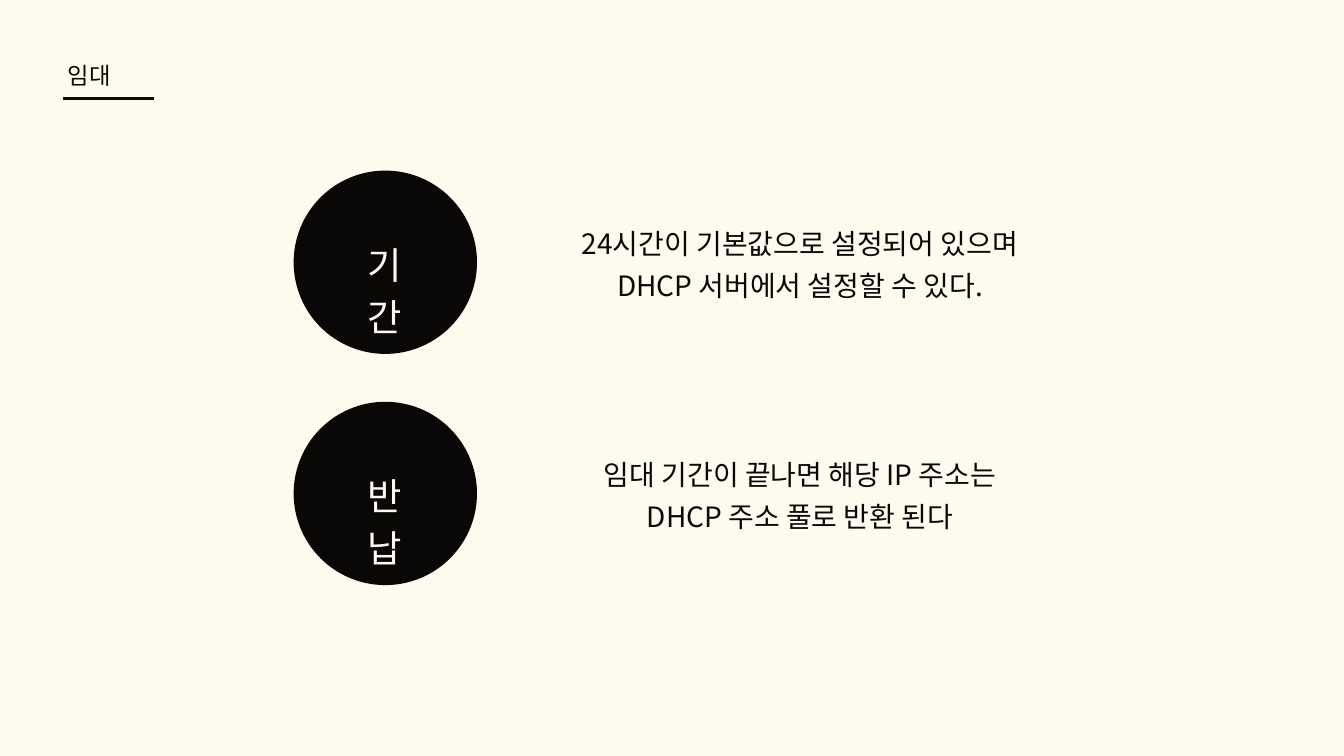
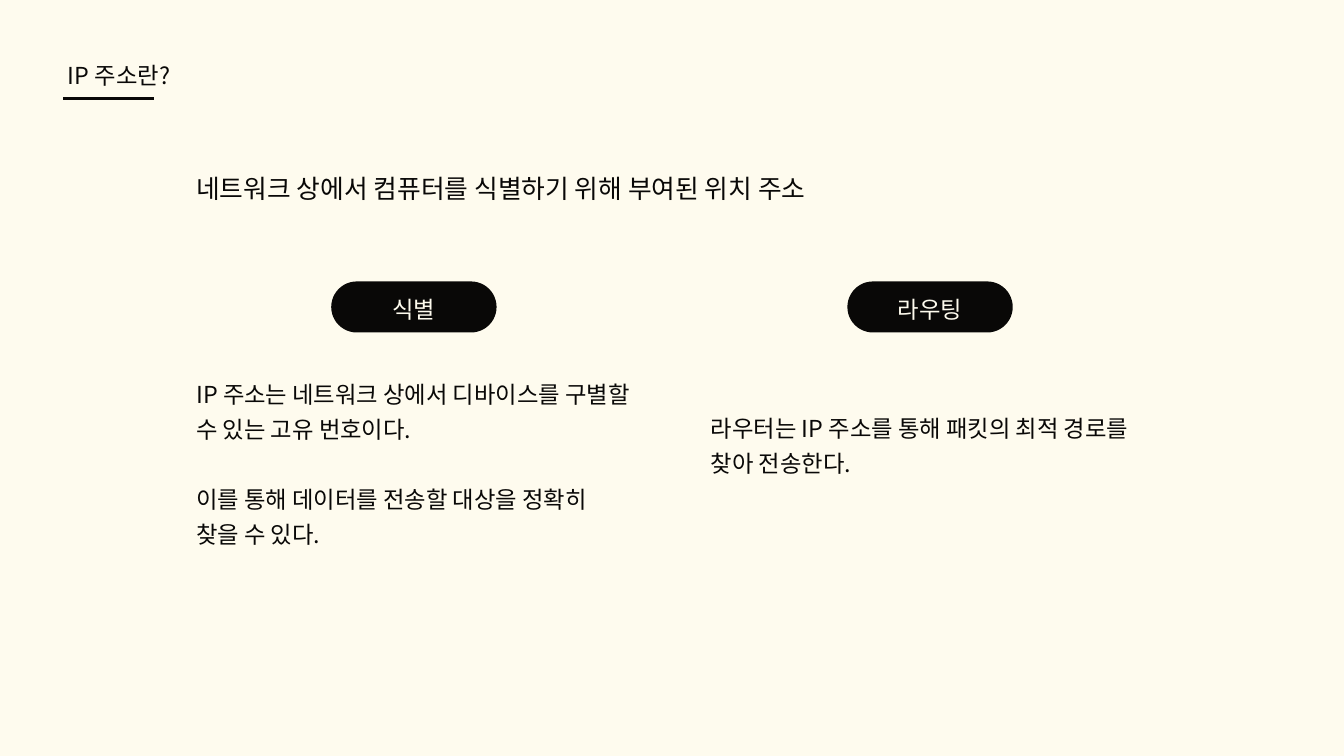
from dataclasses import dataclass

from lxml import etree
from pptx import Presentation
from pptx.dml.color import RGBColor
from pptx.enum.shapes import MSO_CONNECTOR, MSO_SHAPE
from pptx.enum.text import MSO_AUTO_SIZE, PP_ALIGN
from pptx.oxml.ns import qn
from pptx.presentation import Presentation as Deck
from pptx.slide import Slide
from pptx.util import Cm, Pt

INK = RGBColor(0x09, 0x08, 0x07)
CREAM = RGBColor(0xFE, 0xFB, 0xEE)
FONT = "Noto Sans CJK SC"
LEFT, CENTER = PP_ALIGN.LEFT, PP_ALIGN.CENTER
OVAL, PILL = MSO_SHAPE.OVAL, MSO_SHAPE.ROUNDED_RECTANGLE
STRAIGHT = MSO_CONNECTOR.STRAIGHT
GROW = MSO_AUTO_SIZE.SHAPE_TO_FIT_TEXT


@dataclass(frozen=True)
class Box:
    """A rectangle in centimetres."""
    x: float
    y: float
    w: float
    h: float

    def inner(self, dx: float, dy: float, w: float, h: float) -> "Box":
        """Return a box offset from this one."""
        return Box(self.x + dx, self.y + dy, w, h)

    def emu(self) -> tuple[Cm, Cm, Cm, Cm]:
        """Return the four lengths for python-pptx."""
        return Cm(self.x), Cm(self.y), Cm(self.w), Cm(self.h)


@dataclass(frozen=True)
class TextStyle:
    """Size, exact line height and look of a text block."""
    size: float
    leading: float
    color: RGBColor = INK
    align: PP_ALIGN = LEFT
    gap: float = 0


@dataclass(frozen=True)
class Badge:
    """A dark shape carrying a light label."""
    shape: MSO_SHAPE
    w: float
    h: float
    label: Box
    style: TextStyle


@dataclass(frozen=True)
class LeaseItem:
    """A circled keyword with its description."""
    keyword: str
    lines: tuple[str, ...]


@dataclass(frozen=True)
class Role:
    """A pill heading with the text below it."""
    heading: str
    pill_x: float
    body: Box
    paragraphs: tuple[str, ...]


TITLE = TextStyle(25, 35)
LEAD = TextStyle(27.6, 41.3)
BODY = TextStyle(25, 37.5, gap=37.5)
DESCRIPTION = TextStyle(30, 45, align=CENTER)
CIRCLE_BADGE = Badge(OVAL, 6.93, 6.93, Box(2.16, 2.41, 2.59, 1.9),
                     TextStyle(40, 56, CREAM, CENTER))
PILL_BADGE = Badge(PILL, 6.25, 1.93, Box(1.38, 0.36, 3.48, 1.14),
                   TextStyle(25, 35, CREAM, CENTER))

CIRCLE_X, CIRCLE_Y, CIRCLE_PITCH = 11.1, 6.45, 8.74
PILL_Y = 10.64

LEASE_ITEMS = (
    LeaseItem("기간", ("24시간이 기본값으로 설정되어 있으며",
                     "DHCP 서버에서 설정할 수 있다.")),
    LeaseItem("반납", ("임대 기간이 끝나면 해당 IP 주소는",
                     "DHCP 주소 풀로 반환 된다")),
)
ROLES = (
    Role("식별", 12.52, Box(7.42, 14.1, 16.46, 6.53),
         ("IP 주소는 네트워크 상에서 디바이스를 구별할 수 있는 고유 번호이다.",
          "이를 통해 데이터를 전송할 대상을 정확히 찾을 수 있다.")),
    Role("라우팅", 32.03, Box(26.87, 15.39, 16.59, 2.54),
         ("라우터는 IP 주소를 통해 패킷의 최적 경로를 찾아 전송한다.",)),
)


def add_text(s: Slide, box: Box, paragraphs: tuple[str, ...], style: TextStyle) -> None:
    """Add a text box without margins, one paragraph per string."""
    tf = s.shapes.add_textbox(*box.emu()).text_frame
    tf.word_wrap = True
    tf.auto_size = GROW
    tf.margin_left = tf.margin_right = tf.margin_top = tf.margin_bottom = 0
    for i, text in enumerate(paragraphs):
        p = tf.add_paragraph() if i else tf.paragraphs[0]
        p.alignment = style.align
        p.line_spacing = Pt(style.leading)
        if i and style.gap:
            p.space_before = Pt(style.gap)
        r = p.add_run()
        r.text = text
        r.font.size = Pt(style.size)
        r.font.color.rgb = style.color
        r.font.name = FONT
        etree.SubElement(r.font._element, qn("a:ea"), typeface=FONT)


def add_badge(s: Slide, badge: Badge, x: float, y: float, text: str) -> None:
    """Add a filled shape and its label."""
    box = Box(x, y, badge.w, badge.h)
    sp = s.shapes.add_shape(badge.shape, *box.emu())
    sp.shadow.inherit = False
    sp.fill.solid()
    sp.fill.fore_color.rgb = INK
    sp.line.fill.background()
    if badge.shape == PILL:
        sp.adjustments[0] = 0.5
    label = badge.label
    add_text(s, box.inner(label.x, label.y, label.w, label.h), (text,), badge.style)


def add_titled_slide(prs: Deck, title: str, title_width: float) -> Slide:
    """Add a cream slide with an underlined title."""
    s = prs.slides.add_slide(prs.slide_layouts[6])
    s.background.fill.solid()
    s.background.fill.fore_color.rgb = CREAM
    rule = s.shapes.add_connector(STRAIGHT, Cm(2.39), Cm(3.73), Cm(5.82), Cm(3.73))
    rule.line.color.rgb = INK
    rule.line.width = Pt(3)
    etree.SubElement(rule._element.spPr, qn("a:effectLst"))
    add_text(s, Box(2.57, 2.13, title_width, 1.2), (title,), TITLE)
    return s


def add_lease_slide(prs: Deck) -> None:
    """Build the slide about the address lease."""
    s = add_titled_slide(prs, "임대", 2.08)
    for i, item in enumerate(LEASE_ITEMS):
        y = CIRCLE_Y + i * CIRCLE_PITCH
        add_badge(s, CIRCLE_BADGE, CIRCLE_X, y, item.keyword)
        add_text(s, Box(20.78, y + 1.8, 18.92, 3.12), item.lines, DESCRIPTION)


def add_address_slide(prs: Deck) -> None:
    """Build the slide explaining the IP address."""
    s = add_titled_slide(prs, "IP 주소란?", 4.01)
    add_text(s, Box(7.42, 6.25, 23.93, 1.37),
             ("네트워크 상에서 컴퓨터를 식별하기 위해 부여된 위치 주소",), LEAD)
    for role in ROLES:
        add_badge(s, PILL_BADGE, role.pill_x, PILL_Y, role.heading)
        add_text(s, role.body, role.paragraphs, BODY)


def main() -> None:
    """Build and save the presentation."""
    prs = Presentation()
    prs.slide_width, prs.slide_height = Cm(50.8), Cm(28.58)
    add_lease_slide(prs)
    add_address_slide(prs)
    prs.save("out.pptx")


if __name__ == "__main__":
    main()
